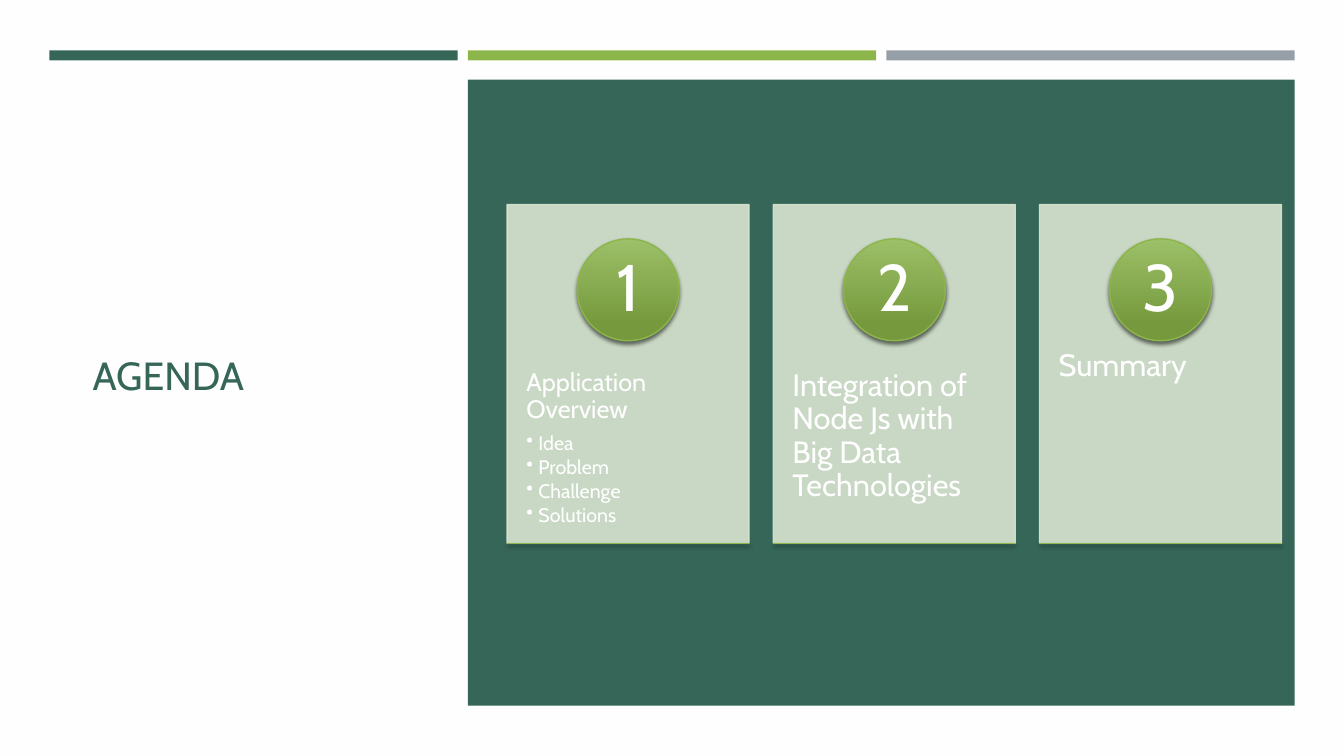
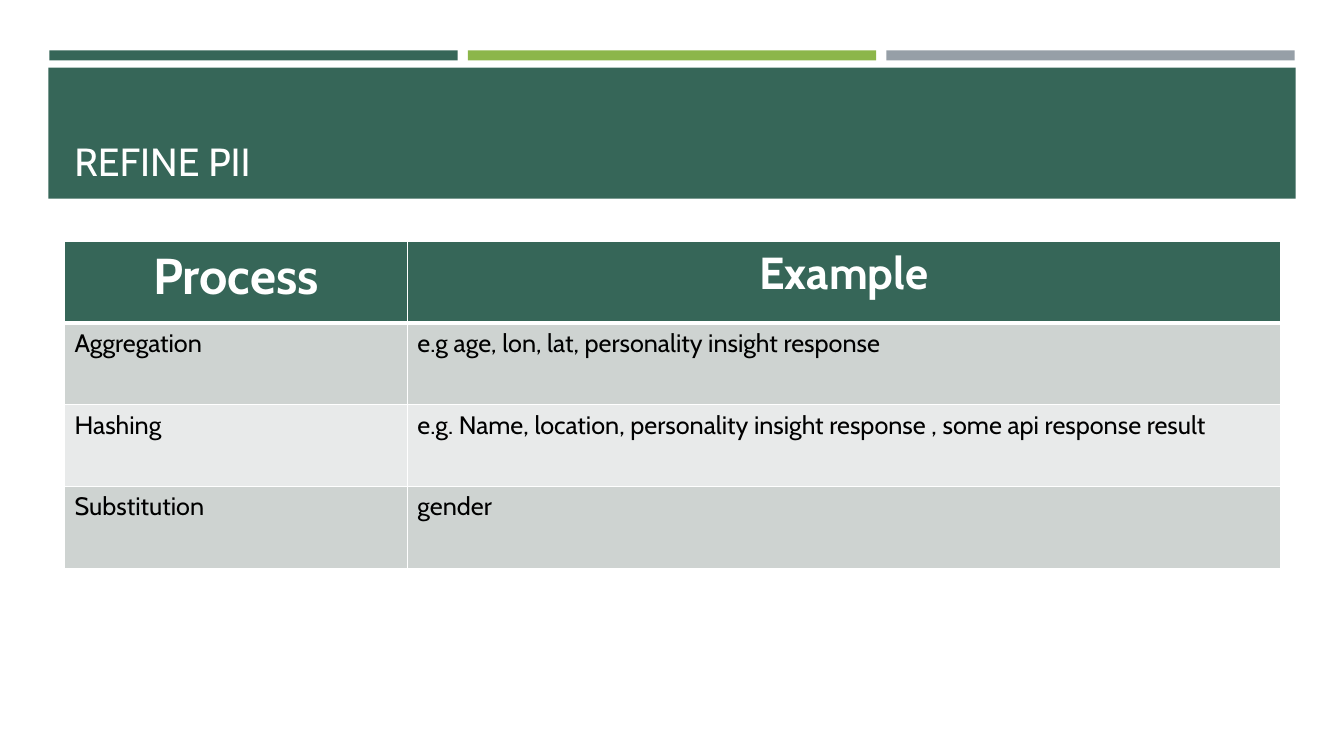
from dataclasses import dataclass

from lxml import etree
from pptx import Presentation
from pptx.dml.color import RGBColor
from pptx.enum import shapes, text
from pptx.oxml.ns import qn
from pptx.util import Inches, Pt


@dataclass(frozen=True)
class Theme:
    font: str = "Cabin"
    # colours
    green: str = "366658"
    lime: str = "8CB64A"
    grey: str = "969FA7"
    card: str = "DAE5D0"
    badge: tuple = ((0, "9CC067"), (0.84, "76993E"))
    rows: tuple = ("CED3D1", "E8EAEA")
    paper: str = "FFFEFF"
    white: str = "FFFFFF"
    black: str = "000000"
    # type sizes in points
    title: int = 28
    number: int = 47
    heading: int = 22
    small_heading: int = 18
    item: int = 14
    table_heads: tuple = (36, 32)
    table_body: int = 18


# Slide grid in inches: three columns
WIDTH, HEIGHT = 13.33, 7.5
LEFT, COLUMN, GAP = 0.49, 4.05, 0.1


def column_left(index):
    return LEFT + index * (COLUMN + GAP)


def columns_wide(count):
    return count * COLUMN + (count - 1) * GAP


def box(*lengths):
    return [Inches(length) for length in lengths]


def add_xml(parent, tag, **attributes):
    values = {name: str(value) for name, value in attributes.items()}
    return etree.SubElement(parent, qn(tag), values)


class Deck:
    """Holds the style and the slide being filled."""

    def __init__(self, theme):
        self.theme = theme
        self.file = Presentation()
        self.file.slide_width, self.file.slide_height = box(WIDTH, HEIGHT)
        self.slide = None

    def new_slide(self, background):
        self.slide = self.file.slides.add_slide(self.file.slide_layouts[6])
        self.paint(self.slide.background.fill, background)
        for index, color in enumerate((self.theme.green, self.theme.lime, self.theme.grey)):
            self.panel((column_left(index), 0.5, COLUMN, 0.1), color)

    def paint(self, fill, color, opacity=100):
        fill.solid()
        fill.fore_color.rgb = RGBColor.from_string(color)
        if opacity < 100:
            for color_node in fill._xPr.iter(qn("a:srgbClr")):
                add_xml(color_node, "a:alpha", val=opacity * 1000)

    def drop_shadow(self, shape):
        """Replace the inherited effects with a soft shadow below."""
        properties = shape._element.spPr
        for old in properties.findall(qn("a:effectLst")):
            properties.remove(old)
        effects = add_xml(properties, "a:effectLst")
        shadow = add_xml(effects, "a:outerShdw", blurRad=Pt(3), dist=Pt(2),
                         dir=90 * 60000, rotWithShape=0)
        color = add_xml(shadow, "a:srgbClr", val=self.theme.black)
        add_xml(color, "a:alpha", val=55000)

    def panel(self, place, color, opacity=100, outlined=False):
        panel = self.slide.shapes.add_shape(shapes.MSO_SHAPE.RECTANGLE, *box(*place))
        panel.shadow.inherit = False
        self.paint(panel.fill, color, opacity)
        if outlined:
            panel.line.width = Pt(1)
            self.paint(panel.line.fill, color, opacity)
        else:
            panel.line.fill.background()

    def style(self, paragraph, size, color, bold=False):
        for run in paragraph.runs:
            run.font.name = self.theme.font
            run.font.size = Pt(size)
            run.font.bold = bold
            run.font.color.rgb = RGBColor.from_string(color)

    def text_area(self, place, insets=(0.1, 0.05), anchor=text.MSO_ANCHOR.TOP):
        frame = self.slide.shapes.add_textbox(*box(*place)).text_frame
        frame.word_wrap = True
        frame.margin_left = frame.margin_right = Inches(insets[0])
        frame.margin_top = frame.margin_bottom = Inches(insets[1])
        frame.vertical_anchor = anchor
        return frame

    def title(self, words, place, color, anchor):
        frame = self.text_area(place, anchor=anchor)
        frame.text = words
        self.style(frame.paragraphs[0], self.theme.title, color)

    def badge(self, number, place):
        badge = self.slide.shapes.add_shape(shapes.MSO_SHAPE.OVAL, *box(*place))
        badge.fill.gradient()
        badge.fill.gradient_angle = 270
        for stop, (position, color) in zip(badge.fill.gradient_stops, self.theme.badge):
            stop.position = position
            stop.color.rgb = RGBColor.from_string(color)
        badge.line.width = Pt(1)
        self.paint(badge.line.fill, self.theme.lime)
        self.drop_shadow(badge)
        frame = badge.text_frame
        frame.margin_left = frame.margin_right = 0
        frame.margin_top = frame.margin_bottom = 0
        frame.vertical_anchor = text.MSO_ANCHOR.MIDDLE
        frame.text = str(number)
        digit = frame.paragraphs[0]
        digit.alignment = text.PP_ALIGN.CENTER
        digit.line_spacing = 0.9
        self.style(digit, self.theme.number, self.theme.white)

    def rule(self, left, top, width):
        rule = self.slide.shapes.add_connector(
            shapes.MSO_CONNECTOR.STRAIGHT, *box(left, top, left + width, top))
        rule.line.width = Pt(1)
        self.paint(rule.line.fill, self.theme.lime)
        self.drop_shadow(rule)

    def topic(self, place, heading, items):
        """Write a heading with an optional bulleted list below it."""
        frame = self.text_area(place, insets=(0.19, 0.36))
        frame.text = "\n".join([heading, *items])
        first, *bullets = frame.paragraphs
        size = self.theme.small_heading if items else self.theme.heading
        first.line_spacing = 0.9
        first.space_after = Pt(size * 0.35)
        self.style(first, size, self.theme.white)
        for bullet in bullets:
            bullet.level = 1
            bullet.line_spacing = 0.9
            bullet.space_after = Pt(self.theme.item * 0.15)
            self.style(bullet, self.theme.item, self.theme.white)
            properties = bullet._p.get_or_add_pPr()
            properties.set("marL", str(Inches(0.12)))
            properties.set("indent", str(-Inches(0.12)))
            add_xml(properties, "a:buChar", char="•")

    def card(self, number, left, heading, items):
        top, width, height, diameter = 2.03, 2.4, 3.36, 1.01
        self.panel((left, top, width, height), self.theme.card, 90, outlined=True)
        self.topic((left, top + 1.28, width, 2.01), heading, items)
        self.badge(number, (left + (width - diameter) / 2, top + 0.34, diameter, diameter))
        self.rule(left, top + height, width)

    def cell_borders(self, cell, **widths):
        properties = cell._tc.get_or_add_tcPr()
        for position, side in enumerate("LRTB"):
            line = add_xml(properties, f"a:ln{side}", w=Pt(widths.get(side, 1)))
            add_xml(add_xml(line, "a:solidFill"), "a:srgbClr", val=self.theme.white)
            properties.insert(position, line)

    def table(self, place, column_widths, rows):
        grid = self.slide.shapes.add_table(len(rows), len(column_widths), *box(*place)).table
        grid.horz_banding = False
        for column, width in zip(grid.columns, column_widths):
            column.width = Inches(width)
        for r, row in enumerate(rows):
            for c, words in enumerate(row):
                cell = grid.cell(r, c)
                cell.text_frame.text = words
                paragraph = cell.text_frame.paragraphs[0]
                if r == 0:
                    paragraph.alignment = text.PP_ALIGN.CENTER
                    self.style(paragraph, self.theme.table_heads[c], self.theme.white, bold=True)
                    self.paint(cell.fill, self.theme.green)
                    self.cell_borders(cell, B=3)
                else:
                    self.style(paragraph, self.theme.table_body, self.theme.black)
                    self.paint(cell.fill, self.theme.rows[(r - 1) % 2])
                    self.cell_borders(cell, T=3 if r == 1 else 1)


def agenda(deck):
    theme = deck.theme
    deck.new_slide(theme.paper)
    deck.panel((column_left(1), 0.79, columns_wide(2), 6.21), theme.green)
    deck.title("AGENDA", (0.82, 1.14, 3.34, 5.15), theme.green, text.MSO_ANCHOR.MIDDLE)
    topics = [
        ("Application Overview", ["Idea", "Problem", "Challenge", "Solutions"]),
        ("Integration of Node Js with Big Data Technologies", []),
        ("Summary", []),
    ]
    for index, (heading, items) in enumerate(topics):
        deck.card(index + 1, 5.03 + index * 2.64, heading, items)


def refine_pii(deck):
    theme = deck.theme
    deck.new_slide(theme.white)
    deck.panel((0.48, 0.67, 12.37, 1.3), theme.green)
    deck.title("REFINE PII", (0.64, 0.77, 12.06, 1.11), theme.white, text.MSO_ANCHOR.BOTTOM)
    deck.table((0.64, 2.39, 12.06, 3.25), (3.4, 8.66), [
        ("Process", "Example"),
        ("Aggregation", "e.g age, lon, lat, personality insight response"),
        ("Hashing", "e.g. Name, location, personality insight response , "
                    "some api response result"),
        ("Substitution", "gender"),
    ])


def main():
    deck = Deck(Theme())
    agenda(deck)
    refine_pii(deck)
    deck.file.save("out.pptx")


if __name__ == "__main__":
    main()
